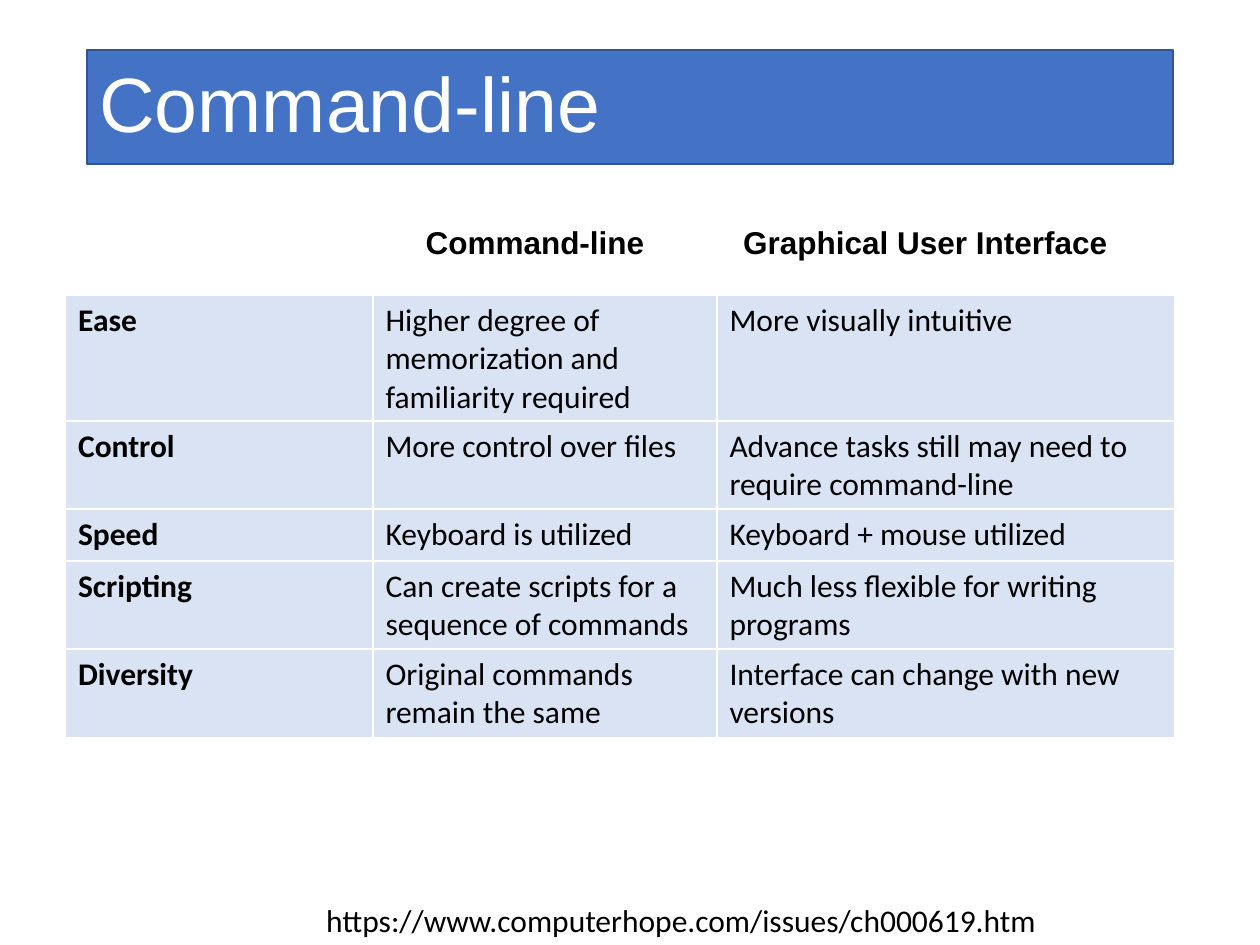
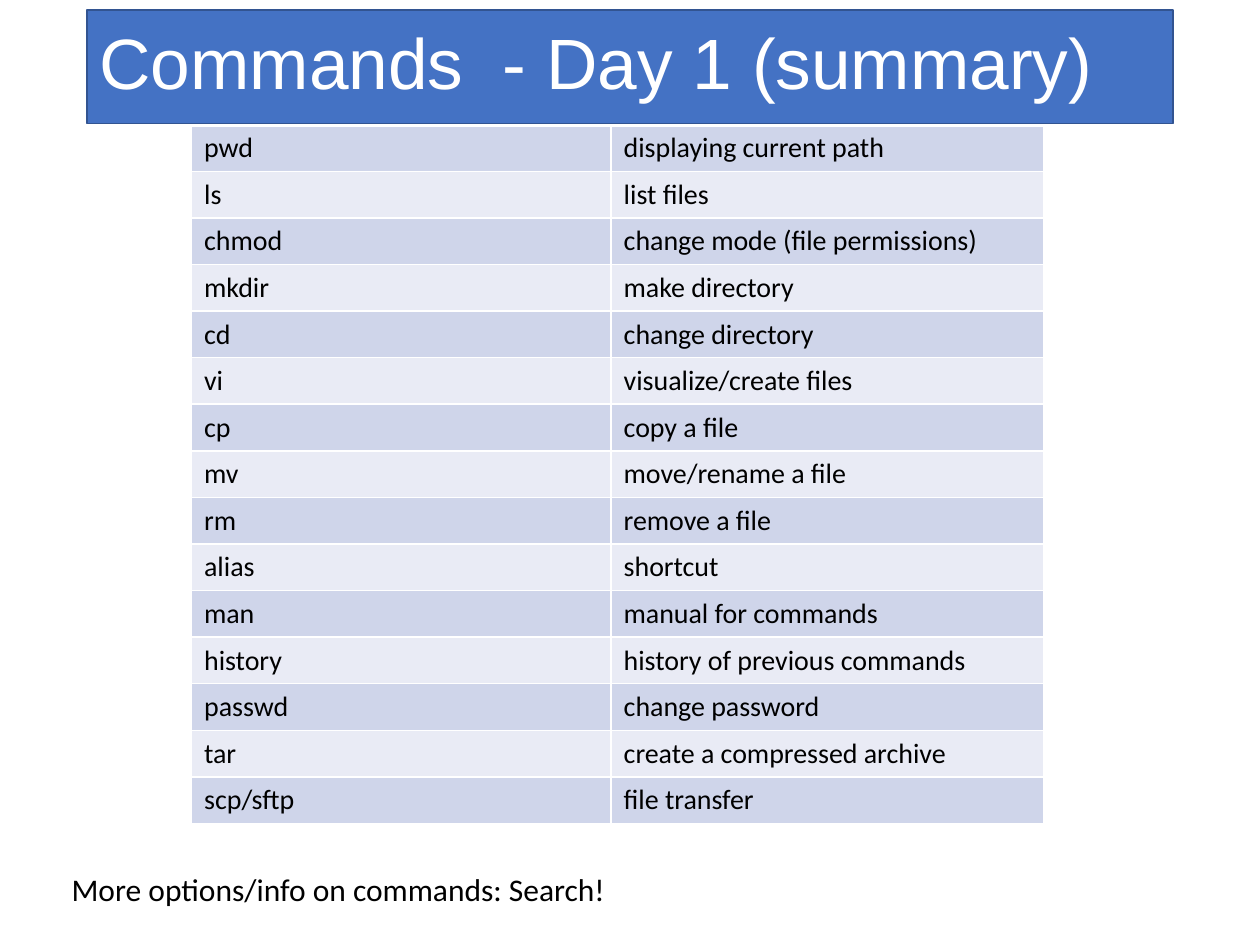
from dataclasses import dataclass

from lxml import etree
from pptx import Presentation
from pptx.dml.color import RGBColor
from pptx.enum import shapes, text
from pptx.oxml import ns
from pptx.util import Inches, Pt


@dataclass(frozen=True)
class Theme:
    heading_font: str = "Arial"
    body_font: str = "Calibri"
    band: str = "4472C4"
    band_line: str = "325491"
    comparison_fill: str = "DAE3F3"
    odd_row: str = "CFD5EA"
    even_row: str = "E9EBF5"
    ink: str = "000000"
    white: str = "FFFFFF"
    title_size: float = 44
    long_title_size: float = 40.7
    body_size: float = 18
    command_size: float = 16
    rule: float = 1


THEME = Theme()

COMPARISON = [
    ("Ease", "Higher degree of memorization and familiarity required",
     "More visually intuitive"),
    ("Control", "More control over files",
     "Advance tasks still may need to require command-line"),
    ("Speed", "Keyboard is utilized", "Keyboard + mouse utilized"),
    ("Scripting", "Can create scripts for a sequence of commands",
     "Much less flexible for writing programs"),
    ("Diversity", "Original commands remain the same",
     "Interface can change with new versions"),
]

COMMANDS = [
    ("pwd", "displaying current path"),
    ("ls", "list files"),
    ("chmod", "change mode (file permissions)"),
    ("mkdir", "make directory"),
    ("cd", "change directory"),
    ("vi", "visualize/create files"),
    ("cp", "copy a file"),
    ("mv", "move/rename a file"),
    ("rm", "remove a file"),
    ("alias", "shortcut"),
    ("man", "manual for commands"),
    ("history", "history of previous commands"),
    ("passwd", "change password"),
    ("tar", "create a compressed archive"),
    ("scp/sftp", "file transfer"),
]


def color(value):
    return RGBColor.from_string(value)


def write_text(frame, words, size=THEME.body_size, font=THEME.body_font,
               ink=THEME.ink, bold=False, line_spacing=None):
    paragraph = frame.paragraphs[0]
    paragraph.alignment = text.PP_ALIGN.LEFT
    if line_spacing:
        paragraph.line_spacing = line_spacing
    if not words:
        paragraph._p.get_or_add_endParaRPr().set("sz", str(int(size * 100)))
        return
    run = paragraph.add_run()
    run.text = words
    run.font.size = Pt(size)
    run.font.name = font
    run.font.bold = bold
    run.font.color.rgb = color(ink)


def add_title_band(slide, words, top, size=THEME.title_size):
    band = slide.shapes.add_shape(
        shapes.MSO_SHAPE.RECTANGLE,
        Inches(0.69), Inches(top), Inches(8.62), Inches(0.9))
    band.shadow.inherit = False
    band.fill.solid()
    band.fill.fore_color.rgb = color(THEME.band)
    band.line.color.rgb = color(THEME.band_line)
    band.line.width = Pt(1)
    band.text_frame.word_wrap = True
    band.text_frame.vertical_anchor = text.MSO_ANCHOR.MIDDLE
    write_text(band.text_frame, words, size=size, font=THEME.heading_font,
               ink=THEME.white, line_spacing=0.9)


def add_label(slide, words, left, top, width, **text_format):
    label = slide.shapes.add_textbox(
        Inches(left), Inches(top), Inches(width), Inches(0.4))
    label.text_frame.word_wrap = False
    write_text(label.text_frame, words, **text_format)


def set_borders(cell, top, bottom):
    properties = cell._tc.get_or_add_tcPr()
    widths = {"lnL": THEME.rule, "lnR": THEME.rule, "lnT": top, "lnB": bottom}
    for side, width in widths.items():
        line = etree.SubElement(properties, ns.qn(f"a:{side}"), w=str(Pt(width)))
        fill = etree.SubElement(line, ns.qn("a:solidFill"))
        etree.SubElement(fill, ns.qn("a:srgbClr"), val=THEME.white)


def add_grid(slide, rows, left, top, column_widths, row_heights, row_fills,
             first_rule, size, bold_first_column=False):
    frame = slide.shapes.add_table(
        len(rows), len(column_widths), Inches(left), Inches(top),
        Inches(sum(column_widths)), Inches(sum(row_heights)))
    table = frame.table
    table.first_row = False
    table.horz_banding = False
    for column, width in zip(table.columns, column_widths):
        column.width = Inches(width)
    for row_index, words_in_row in enumerate(rows):
        table.rows[row_index].height = Inches(row_heights[row_index])
        for column_index, words in enumerate(words_in_row):
            cell = table.cell(row_index, column_index)
            set_borders(cell,
                        top=first_rule if row_index == 1 else THEME.rule,
                        bottom=first_rule if row_index == 0 else THEME.rule)
            cell.fill.solid()
            cell.fill.fore_color.rgb = color(row_fills[row_index])
            write_text(cell.text_frame, words, size=size,
                       bold=bold_first_column and column_index == 0)


def build_comparison_slide(slide):
    add_title_band(slide, "Command-line", top=0.4)
    for heading, left, width in (("Command-line", 3.28, 1.96),
                                 ("Graphical User Interface", 5.8, 3.12)):
        add_label(slide, heading, left, 1.72, width,
                  font=THEME.heading_font, bold=True)
    add_label(slide, "https://www.computerhope.com/issues/ch000619.htm",
              2.49, 7.1, 5.9)
    add_grid(slide, COMPARISON, left=0.52, top=2.34,
             column_widths=[2.44, 2.73, 3.63],
             row_heights=[1, 0.7, 0.41, 0.7, 0.7],
             row_fills=[THEME.comparison_fill] * len(COMPARISON),
             first_rule=1.5, size=THEME.body_size, bold_first_column=True)


def build_commands_slide(slide):
    rows = [("", "")] + COMMANDS
    stripes = [THEME.even_row if index % 2 else THEME.odd_row
               for index in range(len(COMMANDS))]
    add_grid(slide, rows, left=1.52, top=0.62, column_widths=[3.33, 3.43],
             row_heights=[0.37] * len(rows), row_fills=[THEME.band] + stripes,
             first_rule=3, size=THEME.command_size)
    add_title_band(slide, "Commands  - Day 1 (summary)", top=0.08,
                   size=THEME.long_title_size)
    add_label(slide, "More options/info on commands: Search!",
              0.47, 6.86, 4.53)


def main():
    presentation = Presentation()
    presentation.slide_width = Inches(10)
    presentation.slide_height = Inches(7.5)
    blank_layout = presentation.slide_layouts[6]
    for build in (build_comparison_slide, build_commands_slide):
        build(presentation.slides.add_slide(blank_layout))
    presentation.save("out.pptx")


if __name__ == "__main__":
    main()
